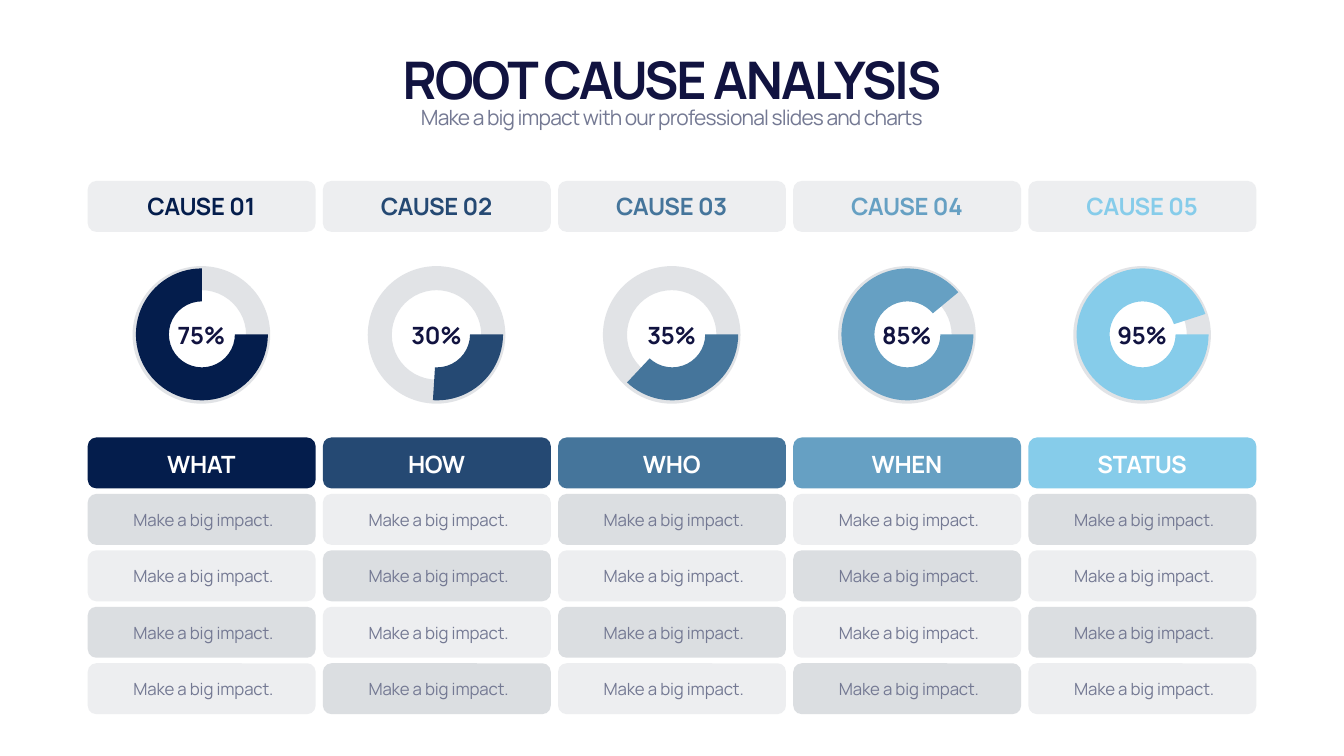
from dataclasses import dataclass

from lxml import etree
from pptx import Presentation, util as u
from pptx.chart.data import CategoryChartData
from pptx.dml.color import RGBColor
from pptx.enum import chart as charts, shapes, text
from pptx.oxml import parse_xml
from pptx.oxml.ns import nsdecls, qn

SCALE = 4572


@dataclass(frozen=True)
class Theme:
    face: str = "Manrope"
    base: str = "Calibri"
    ink: str = "111340"
    soft: str = "747993"
    gray: str = "C4C8CE"
    white: str = "FFFFFF"
    title: int = 74
    lead: int = 30
    label: int = 34
    body: int = 24
    small: int = 10


@dataclass(frozen=True)
class Box:
    left: int
    top: int
    width: int
    height: int

    def emu(self) -> tuple:
        return tuple(n * SCALE for n in (self.left, self.top, self.width, self.height))


@dataclass(frozen=True)
class Cause:
    name: str
    head: str
    rate: str
    value: int
    color: str


THEME = Theme()
CAUSES = [
    Cause("CAUSE 01", "WHAT", "75%", 75, "041D4C"),
    Cause("CAUSE 02", "HOW", "30%", 26, "254973"),
    Cause("CAUSE 03", "WHO", "35%", 37, "45759B"),
    Cause("CAUSE 04", "WHEN", "85%", 89, "66A0C3"),
    Cause("CAUSE 05", "STATUS", "95%", 95, "86CCEA"),
]
BODY = "Make a big impact."
ROWS = 4
LEFT, PITCH = 348, 933
WIDE, HIGH = 904, 202
NAMES, HEADS, STEP = 718, 1736, 224


def add_shape(slide, kind: int, box: Box, color: str, alpha: int = 100):
    item = slide.shapes.add_shape(kind, *box.emu())
    item.shadow.inherit = False
    item.fill.solid()
    item.fill.fore_color.rgb = RGBColor.from_string(color)
    item.line.fill.background()
    if alpha < 100:
        tone = item.fill._xPr.find(".//" + qn("a:srgbClr"))
        etree.SubElement(tone, qn("a:alpha"), val=str(alpha * 1000))
    return item


def add_bar(slide, left: int, top: int, color: str, alpha: int = 100) -> None:
    box = Box(left, top, WIDE, HIGH)
    add_shape(slide, shapes.MSO_SHAPE.ROUNDED_RECTANGLE, box, color, alpha)


def add_text(slide, words: str, box: Box, *, size: int, color: str,
             bold: bool = False, space: int = 0, lead: int = 0,
             anchor=text.MSO_ANCHOR.MIDDLE) -> None:
    frame = slide.shapes.add_textbox(*box.emu()).text_frame
    frame.word_wrap = True
    frame.auto_size = text.MSO_AUTO_SIZE.SHAPE_TO_FIT_TEXT
    frame.vertical_anchor = anchor
    frame.margin_left = frame.margin_right = 0
    frame.margin_top = frame.margin_bottom = 0
    para = frame.paragraphs[0]
    para.alignment = text.PP_ALIGN.CENTER
    if lead:
        para.line_spacing = u.Pt(lead)
    run = para.add_run()
    run.text = words
    run.font.name = THEME.face
    run.font.size = u.Pt(size)
    run.font.bold = bold
    run.font.color.rgb = RGBColor.from_string(color)
    run._r.get_or_add_rPr().set("spc", str(space))


def add_label(slide, words: str, box: Box, color: str) -> None:
    add_text(slide, words, box, size=THEME.label, color=color, bold=True, space=-30)


def add_ring(slide, cause: Cause, box: Box) -> None:
    data = CategoryChartData()
    data.categories = ["1", "2"]
    data.add_series("Series 1", (cause.value, 100 - cause.value))
    kind = charts.XL_CHART_TYPE.DOUGHNUT
    chart = slide.shapes.add_chart(kind, *box.emu(), data).chart
    chart.has_legend = False
    chart.has_title = False
    chart.font.name = THEME.base
    chart.font.size = u.Pt(THEME.small)
    chart.font.color.rgb = RGBColor.from_string(THEME.soft)
    plot = chart.plots[0]
    plot.vary_by_categories = True
    done, rest = (plot.series[0].points[n].format for n in range(2))
    done.fill.solid()
    done.fill.fore_color.rgb = RGBColor.from_string(cause.color)
    rest.fill.background()
    for part in (done, rest):
        part.line.fill.background()
    root = chart.element
    root.find(".//" + qn("c:firstSliceAng")).set("val", "90")
    root.find(".//" + qn("c:holeSize")).set("val", "69")
    area = root.find(".//" + qn("c:plotArea"))
    for old in area.findall(qn("c:layout")):
        area.remove(old)
    sides = {"x": 0.05, "y": 0.09, "w": 0.9, "h": 0.82}
    spots = "".join(f'<c:{key} val="{val}"/>' for key, val in sides.items())
    area.insert(0, parse_xml(
        f'<c:layout {nsdecls("c")}><c:manualLayout><c:layoutTarget val="inner"/>'
        f'<c:xMode val="edge"/><c:yMode val="edge"/>{spots}</c:manualLayout></c:layout>'))
    root.find(qn("c:chart")).addnext(parse_xml(
        f'<c:spPr {nsdecls("c", "a")}><a:noFill/><a:ln><a:noFill/></a:ln></c:spPr>'))


def add_column(slide, index: int, cause: Cause) -> None:
    left = LEFT + index * PITCH
    add_bar(slide, left, NAMES, THEME.gray, 30)
    add_label(slide, cause.name, Box(left + 78, 752, 746, 134), cause.color)

    disc = add_shape(slide, shapes.MSO_SHAPE.DONUT,
                     Box(left + 178, 1056, 546, 546), THEME.gray, 50)
    disc.adjustments[0] = 0.175
    add_ring(slide, cause, Box(left + 162, 1006, 582, 642))
    add_label(slide, cause.rate, Box(left + 284, 1264, 334, 134), THEME.ink)

    add_bar(slide, left, HEADS, cause.color)
    add_label(slide, cause.head, Box(left + 78, 1774, 746, 134), THEME.white)
    for row in range(ROWS):
        top = HEADS + (row + 1) * STEP
        add_bar(slide, left, top, THEME.gray, 30 if (row + index) % 2 else 60)
        add_text(slide, BODY, Box(left + 70, top + 35, 778, 114),
                 size=THEME.body, color=THEME.soft, space=-20, lead=36)


def main() -> None:
    deck = Presentation()
    deck.slide_width, deck.slide_height = 5332 * SCALE, 3000 * SCALE
    slide = deck.slides.add_slide(deck.slide_layouts[6])
    add_text(slide, "ROOT CAUSE ANALYSIS", Box(332, 164, 4666, 270),
             size=THEME.title, color=THEME.ink, bold=True, space=-290,
             anchor=text.MSO_ANCHOR.BOTTOM)
    add_text(slide, "Make a big impact with our professional slides and charts",
             Box(332, 414, 4666, 122), size=THEME.lead, color=THEME.soft,
             space=-120, anchor=text.MSO_ANCHOR.TOP)
    for index, cause in enumerate(CAUSES):
        add_column(slide, index, cause)
    deck.save("out.pptx")


if __name__ == "__main__":
    main()
